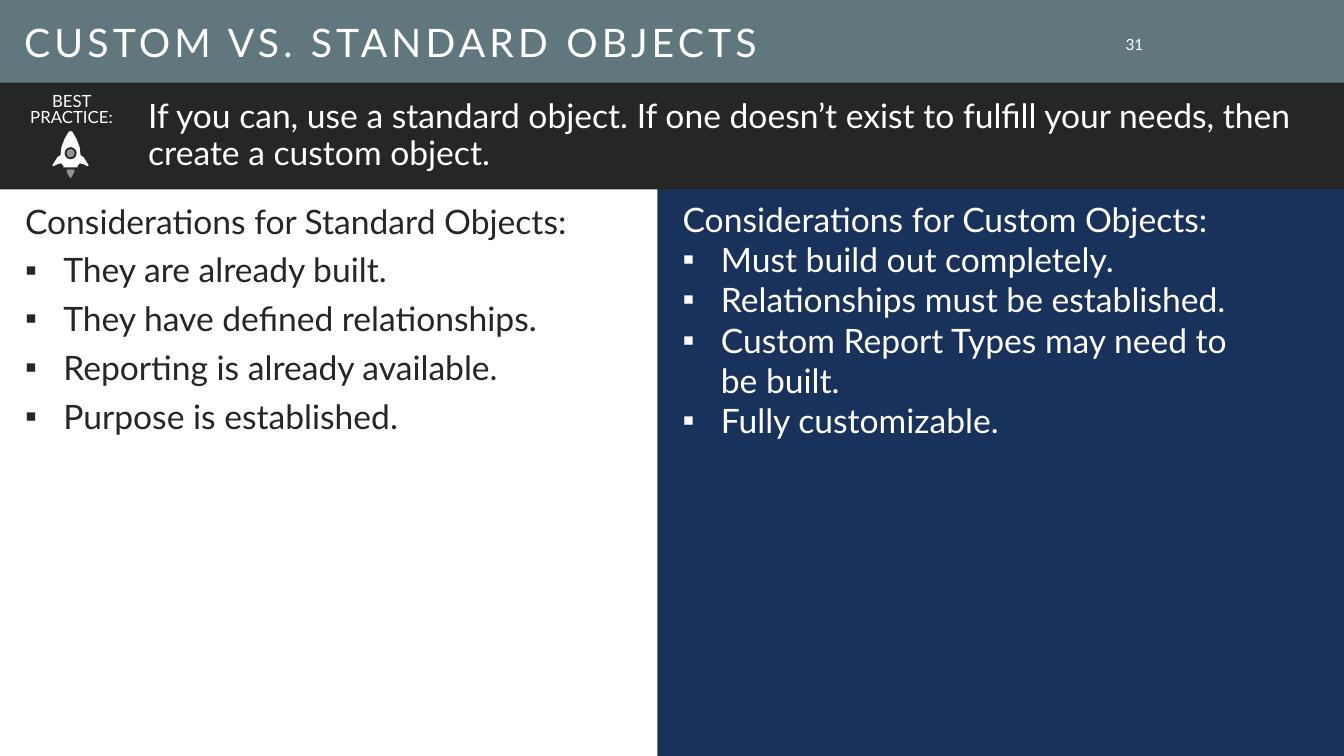
import pptx
import pptx.util
import pptx.dml.color
import pptx.enum.shapes
import pptx.enum.text
import pptx.oxml
import pptx.oxml.ns

TITLE = "CUSTOM VS. STANDARD OBJECTS"
NUMBER = "31"
LABEL = "BEST PRACTICE:"
ADVICE = ("If you can, use a standard object. If one doesn’t exist to fulfill "
          "your needs, then create a custom object.")
STANDARD = [
    "Considerations for Standard Objects:",
    "They are already built.",
    "They have defined relationships.",
    "Reporting is already available.",
    "Purpose is established.",
]
CUSTOM = [
    "Considerations for Custom Objects:",
    "Must build out completely.",
    "Relationships must be established.",
    "Custom Report Types may need to \vbe built.",
    "Fully customizable.",
]
COLORS = {"slate": "60777E", "dark": "262626", "navy": "19325C",
          "white": "FFFFFF", "gray": "929292"}
FONT, BULLET_FONT = "Lato", "Arial"
W, H = 13.33, 7.5
HEADER_H = 0.83
BAND_TOP, BAND_H = 0.82, 1.06
PANEL_LEFT, PANEL_TOP = 6.52, 1.87
INDENT = 0.38
ROCKET_X = 0.7
ROCKET_HALF = [(0, 1.3), (0.02, 1.31), (0.06, 1.38), (0.09, 1.46),
               (0.1, 1.54), (0.13, 1.56), (0.18, 1.64), (0.17, 1.65),
               (0.13, 1.63), (0.09, 1.62), (0.08, 1.64), (0.07, 1.64),
               (0.07, 1.66)]
FLAME_HALF = [(0.03, 1.68), (0.04, 1.7), (0.02, 1.74), (0, 1.77)]

Inches, Pt = pptx.util.Inches, pptx.util.Pt
SHAPE = pptx.enum.shapes.MSO_SHAPE
ALIGN = pptx.enum.text.PP_ALIGN
ANCHOR = pptx.enum.text.MSO_ANCHOR


def rgb(name):
    return pptx.dml.color.RGBColor.from_string(COLORS[name])


def paint(sp, color):
    sp.shadow.inherit = False
    sp.fill.solid()
    sp.fill.fore_color.rgb = rgb(color)
    sp.line.fill.background()
    return sp


def add_shape(slide, kind, box, color):
    return paint(slide.shapes.add_shape(kind, *map(Inches, box)), color)


def add_box(slide, box):
    return slide.shapes.add_textbox(*map(Inches, box))


def add_symmetric(slide, half, color):
    points = [(ROCKET_X + x, y) for x, y in half]
    points += [(ROCKET_X - x, y) for x, y in reversed(half)]
    points = [(Inches(x), Inches(y)) for x, y in points]
    builder = slide.shapes.build_freeform(*points[0])
    builder.add_line_segments(points[1:], close=True)
    return paint(builder.convert_to_shape(), color)


def add_bullet(p):
    pPr = p._p.get_or_add_pPr()
    pPr.set("marL", str(Inches(INDENT)))
    pPr.set("indent", str(-Inches(INDENT)))
    for tag in ('buFont %s typeface="' + BULLET_FONT + '"',
                'buChar %s char="▪"'):
        pPr.append(pptx.oxml.parse_xml(
            "<a:" + tag % pptx.oxml.ns.nsdecls("a") + "/>"))


def write(sp, lines, size, color, insets=(0.1, 0.05, 0.1, 0.05),
          anchor=ANCHOR.TOP, align=ALIGN.LEFT, spacing=1.0, gap=0):
    tf = sp.text_frame
    tf.word_wrap = True
    tf.auto_size = pptx.enum.text.MSO_AUTO_SIZE.NONE
    tf.vertical_anchor = anchor
    (tf.margin_left, tf.margin_top,
     tf.margin_right, tf.margin_bottom) = map(Inches, insets)
    for i, line in enumerate(lines):
        p = tf.add_paragraph() if i else tf.paragraphs[0]
        p.text = line
        p.alignment = align
        p.line_spacing = spacing
        p.space_before = Pt(gap if i else 0)
        if i:
            add_bullet(p)
        for r in p.runs:
            r.font.name = FONT
            r.font.size = Pt(size)
            r.font.color.rgb = rgb(color)


def main():
    prs = pptx.Presentation()
    prs.slide_width, prs.slide_height = Inches(W), Inches(H)
    slide = prs.slides.add_slide(prs.slide_layouts[5])

    header = add_shape(slide, SHAPE.RECTANGLE, (0, 0, W, HEADER_H), "slate")
    slide.shapes._spTree.insert(2, header._element)

    title = slide.shapes.title
    title.left, title.top = Inches(0.14), 0
    title.width, title.height = Inches(10.77), Inches(BAND_TOP)
    write(title, [TITLE], 28, "white", (0.1, 0.15, 0.1, 0.05),
          ANCHOR.MIDDLE, spacing=0.8)
    title.text_frame.paragraphs[0].runs[0].font._element.set("spc", "300")

    write(add_box(slide, (0.15, 1.94, 7.65, 5.38)), STANDARD, 24, "dark", gap=6)
    panel = add_shape(slide, SHAPE.RECTANGLE,
                      (PANEL_LEFT, PANEL_TOP, W - PANEL_LEFT, H - PANEL_TOP),
                      "navy")
    write(panel, CUSTOM, 24, "white", (0.25, 0.1, 0.25, 0.1))

    write(add_box(slide, (10.91, 0.33, 0.53, 0.22)), [NUMBER], 11, "white",
          (0.1, 0, 0.1, 0), ANCHOR.MIDDLE, ALIGN.RIGHT)

    band = add_shape(slide, SHAPE.RECTANGLE, (0, BAND_TOP, W, BAND_H), "dark")
    write(band, [ADVICE], 24, "white", (1.47, 0.05, 0.5, 0.05),
          ANCHOR.MIDDLE, spacing=0.9)
    write(add_box(slide, (0, 0.89, 1.42, 0.43)), [LABEL], 12, "white",
          align=ALIGN.CENTER, spacing=0.8)

    add_symmetric(slide, FLAME_HALF, "gray")
    add_symmetric(slide, ROCKET_HALF, "white")
    for d, color in ((0.12, "dark"), (0.08, "gray")):
        add_shape(slide, SHAPE.OVAL,
                  (ROCKET_X - d / 2, 1.52 - d / 2, d, d), color)

    prs.save("out.pptx")


if __name__ == "__main__":
    main()
